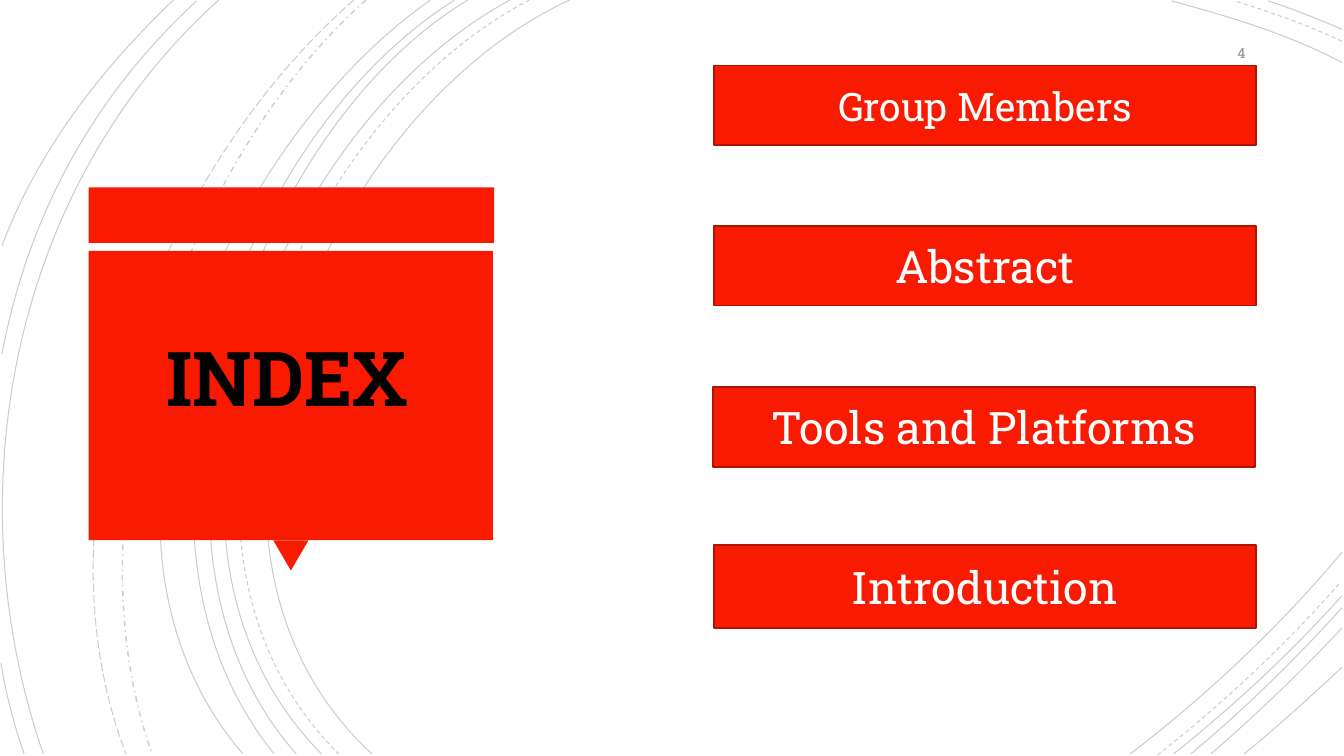
from lxml import etree
from pptx import Presentation
from pptx.dml.color import RGBColor
from pptx.enum import dml, shapes, text
from pptx.oxml.ns import qn
from pptx.util import Inches, Pt

RED = RGBColor(0xF8, 0x1B, 0x02)
DARK_RED = RGBColor(0xAF, 0x13, 0x01)
BLACK = RGBColor(0, 0, 0)
WHITE = RGBColor(0xFF, 0xFF, 0xFF)
GRAY = RGBColor(0x8C, 0x8C, 0x8C)
FONT = "Roboto Slab"

SOLID_ARCS = [
    [(5.65, 0), (3.15, 1.15), (1.43, 5.4), (3.69, 7.48)],
    [(13.31, 0.62), (12.78, 0.34), (12.18, 0.16), (11.62, 0.01)],
    [(11.21, 7.48), (11.97, 6.9), (12.69, 6.22), (13.31, 5.48)],
    [(5.06, 0), (2.7, 1.27), (1.1, 5.37), (3.19, 7.48)],
    [(13.31, 0.29), (13.07, 0.19), (12.83, 0.09), (12.58, 0.01)],
    [(11.64, 7.48), (12.23, 7.01), (12.8, 6.48), (13.31, 5.91)],
    [(4.64, 0), (2.44, 1.33), (1.1, 5.41), (2.94, 7.48)],
    [(11.81, 7.48), (12.34, 7.04), (12.84, 6.55), (13.31, 6.03)],
    [(4.51, 0), (2.31, 1.38), (0.97, 5.33), (2.72, 7.48)],
    [(12.01, 7.48), (12.46, 7.09), (12.9, 6.67), (13.31, 6.23)],
    [(4.27, 0), (2.17, 1.47), (0.53, 5.29), (2.41, 7.48)],
    [(12.34, 7.48), (12.67, 7.21), (12.99, 6.92), (13.31, 6.62)],
    [(2.17, 0), (0.11, 1.85), (-0.46, 4.9), (0.43, 7.48)],
    [(1.95, 0.01), (0.92, 0.96), (0.28, 2.14), (0.02, 3.51)],
    [(0.01, 6.58), (0.06, 6.89), (0.14, 7.19), (0.24, 7.48)],
    [(1.72, 0), (1, 0.69), (0.37, 1.5), (0.02, 2.44)],
]
DASHED_ARCS = [
    [(5.25, 0), (2.85, 1.25), (1.23, 5.37), (3.36, 7.48)],
    [(13.31, 0.41), (12.97, 0.25), (12.6, 0.12), (12.25, 0.01)],
    [(11.48, 7.49), (12.13, 6.98), (12.75, 6.4), (13.3, 5.77)],
]
DASH_DOT_ARCS = [[(3.63, 0), (1.76, 1.66), (0.65, 5.09), (1.51, 7.48)]]
LONG_DASH_ARCS = [[(3.51, 0), (1.57, 1.69), (0.29, 4.99), (1.25, 7.48)]]
ARC_STYLES = [
    (SOLID_ARCS, dml.MSO_LINE.SOLID, 0.75),
    (DASHED_ARCS, dml.MSO_LINE.DASH, 0.75),
    (DASH_DOT_ARCS, dml.MSO_LINE.DASH_DOT, 1),
    (LONG_DASH_ARCS, dml.MSO_LINE.LONG_DASH, 0.75),
]
TOPICS = [
    ("Group Members", 7.08, 0.65, 0.79, 28),
    ("Abstract", 7.08, 2.24, 0.79, 32),
    ("Tools and Platforms", 7.07, 3.84, 0.79, 32),
    ("Introduction", 7.08, 5.41, 0.82, 32),
]


def add_arc(page, points, dash, width):
    start, *rest = [(Inches(x), Inches(y)) for x, y in points]
    builder = page.shapes.build_freeform(*start)
    builder.add_line_segments(rest, close=False)
    arc = builder.convert_to_shape()
    outline = arc._element.find(".//" + qn("a:path"))
    curve = etree.SubElement(outline, qn("a:cubicBezTo"))
    for segment in outline.findall(qn("a:lnTo")):
        curve.append(segment[0])
        outline.remove(segment)
    arc.shadow.inherit = False
    arc.fill.background()
    arc.line.color.rgb = BLACK
    arc.line.width = Pt(width)
    arc.line.dash_style = dash
    color = arc.line._ln.find(".//" + qn("a:srgbClr"))
    etree.SubElement(color, qn("a:alpha"), val="20000")


def add_red_shape(page, kind, left, top, width, height):
    box = page.shapes.add_shape(
        kind, Inches(left), Inches(top), Inches(width), Inches(height))
    box.shadow.inherit = False
    box.fill.solid()
    box.fill.fore_color.rgb = RED
    box.line.fill.background()
    return box


def write(box, words, size, color, align, anchor, bold=False):
    frame = box.text_frame
    frame.text = words
    frame.word_wrap = True
    frame.vertical_anchor = anchor
    para = frame.paragraphs[0]
    para.alignment = align
    span = para.runs[0]
    span.font.name = FONT
    span.font.size = Pt(size)
    span.font.bold = bold
    span.font.color.rgb = color
    return span


def add_topic(page, words, left, top, height, size):
    bar = add_red_shape(page, shapes.MSO_SHAPE.RECTANGLE, left, top, 5.38, height)
    bar.line.color.rgb = DARK_RED
    bar.line.width = Pt(1.25)
    write(bar, words, size, WHITE, text.PP_ALIGN.CENTER, text.MSO_ANCHOR.MIDDLE)


def add_callout(page):
    add_red_shape(page, shapes.MSO_SHAPE.RECTANGLE, 0.88, 1.86, 4.02, 0.55)
    pointer = add_red_shape(
        page, shapes.MSO_SHAPE.ISOSCELES_TRIANGLE, 2.71, 5.36, 0.35, 0.3)
    pointer.rotation = 180
    add_red_shape(page, shapes.MSO_SHAPE.RECTANGLE, 0.88, 2.49, 4.01, 2.87)


def place_title(page, words):
    title = page.shapes.title
    title.left, title.top = Inches(1.45), Inches(3.23)
    title.width, title.height = Inches(2.8), Inches(1.01)
    span = write(title, words, 54, BLACK, text.PP_ALIGN.CENTER,
                 text.MSO_ANCHOR.TOP, bold=True)
    title.text_frame.word_wrap = False
    title.text_frame.auto_size = text.MSO_AUTO_SIZE.SHAPE_TO_FIT_TEXT
    outline = etree.Element(qn("a:ln"), w=str(Pt(0.75)))
    fill = etree.SubElement(outline, qn("a:solidFill"))
    etree.SubElement(fill, qn("a:srgbClr"), val=str(WHITE))
    span.font._element.insert(0, outline)
    page.shapes._spTree.append(title._element)


def add_page_number(page, number):
    box = page.shapes.add_textbox(
        Inches(11.45), Inches(0.35), Inches(1), Inches(0.35))
    write(box, number, 10, GRAY, text.PP_ALIGN.RIGHT, text.MSO_ANCHOR.MIDDLE)


def main():
    deck = Presentation()
    deck.slide_width, deck.slide_height = Inches(13.33), Inches(7.5)
    page = deck.slides.add_slide(deck.slide_layouts[5])
    for arcs, dash, width in ARC_STYLES:
        for points in arcs:
            add_arc(page, points, dash, width)
    add_callout(page)
    for topic in TOPICS:
        add_topic(page, *topic)
    place_title(page, "INDEX")
    add_page_number(page, "4")
    deck.save("out.pptx")


if __name__ == "__main__":
    main()
